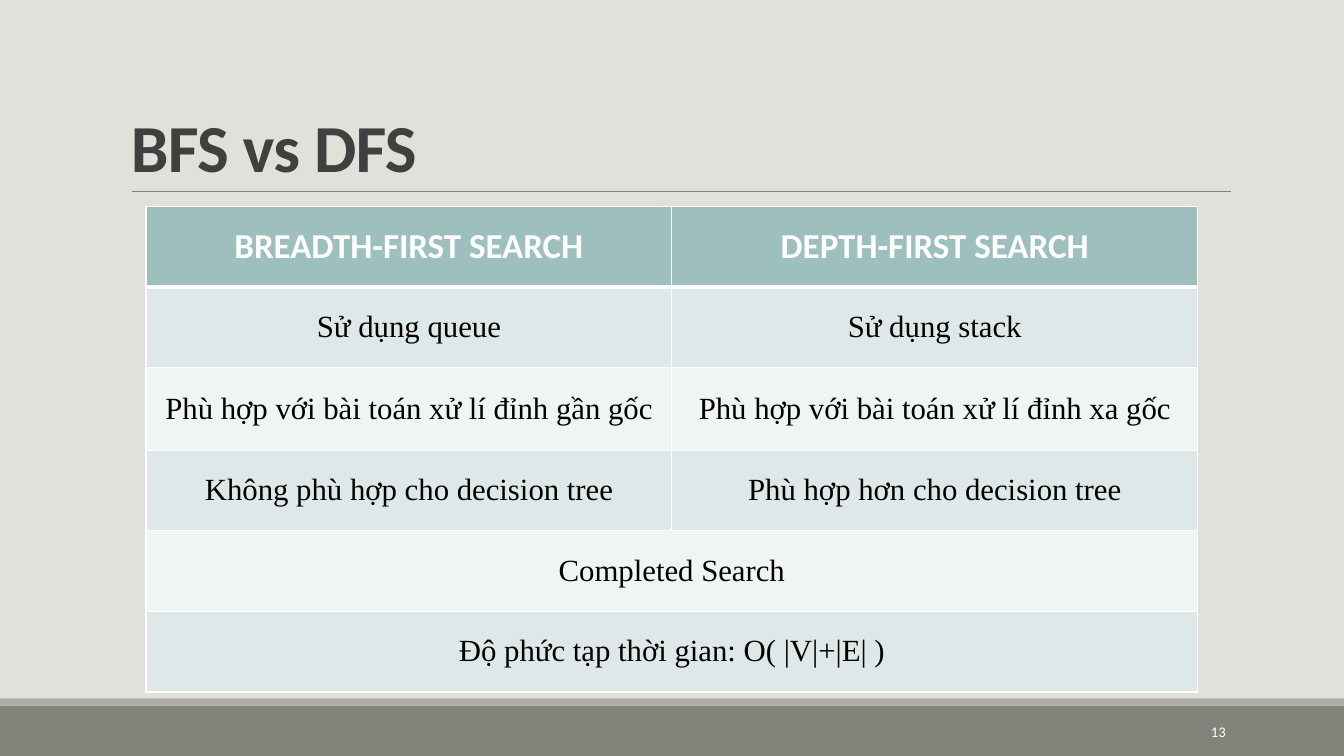
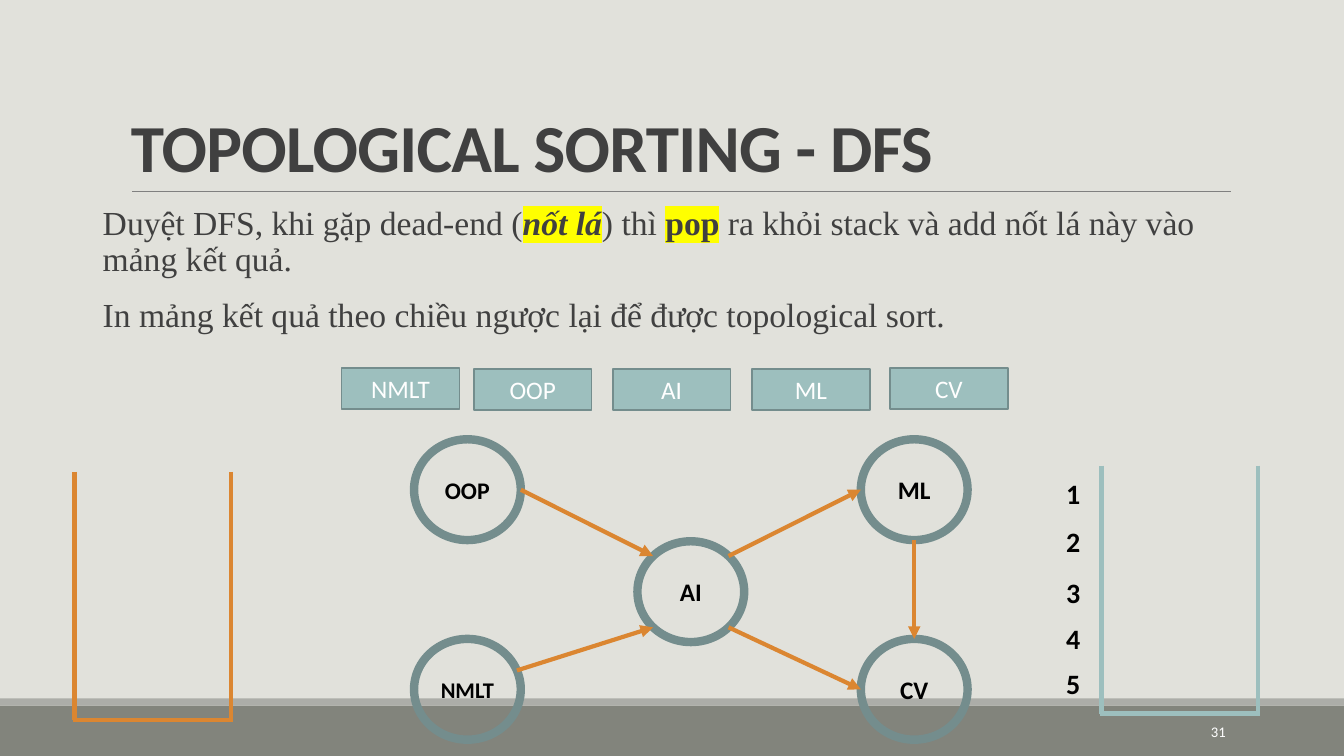
"""Build two slides on graph search: BFS against DFS, and topological sorting."""
import math

import lxml.etree
import pptx
import pptx.dml.color
import pptx.enum.shapes
import pptx.enum.text
import pptx.oxml.ns
import pptx.util

Cm = pptx.util.Cm
Pt = pptx.util.Pt
qn = pptx.oxml.ns.qn
SHAPE = pptx.enum.shapes.MSO_SHAPE
ALIGN = pptx.enum.text.PP_ALIGN
ANCHOR = pptx.enum.text.MSO_ANCHOR

COLORS = {
    "background": "E1E1DB",
    "band": "82847C",
    "strip": "ACADA8",
    "rule": "808080",
    "title": "404040",
    "teal": "9DBFBE",
    "outline": "748D8D",
    "row_dark": "DFE8E8",
    "row_light": "EFF4F4",
    "arrow": "DB8631",
    "highlight": "FFFF00",
    "white": "FFFFFF",
    "black": "000000",
}
HEADING_FONT = "Calibri"
BODY_FONT = "Times New Roman"
SLIDE_WIDTH, SLIDE_HEIGHT = 33.87, 19.05

COMPARISON = [
    ("BREADTH-FIRST SEARCH", "DEPTH-FIRST SEARCH"),
    ("Sử dụng queue", "Sử dụng stack"),
    ("Phù hợp với bài toán xử lí đỉnh gần gốc", "Phù hợp với bài toán xử lí đỉnh xa gốc"),
    ("Không phù hợp cho decision tree", "Phù hợp hơn cho decision tree"),
    ("Completed Search",),
    ("Độ phức tạp thời gian: O( |V|+|E| )",),
]
ROW_HEIGHTS = [2.03, 2.03, 2.08, 2.03, 2.03, 2.03]

EXPLANATION = [
    [
        ("Duyệt DFS, khi gặp dead-end (", ""),
        ("nốt lá", "bold italic marked"),
        (") thì ", ""),
        ("pop", "bold marked"),
        (" ra khỏi stack và add nốt lá này vào mảng kết quả.", ""),
    ],
    [("In mảng kết quả theo chiều ngược lại để được topological sort.", "")],
]

COURSE_LABELS = [
    ("NMLT", 8.61, 9.27),
    ("OOP", 11.94, 9.3),
    ("AI", 15.44, 9.3),
    ("ML", 18.95, 9.3),
    ("CV", 22.43, 9.27),
]
NODE_WIDTH, NODE_HEIGHT = 2.69, 2.54
NODES = {
    "NMLT": (11.78, 17.37, 16),
    "OOP": (11.78, 12.34, 17),
    "AI": (17.41, 14.91, 18),
    "CV": (23.04, 17.37, 18),
    "ML": (23.04, 12.34, 18),
}
EDGES = [
    ("OOP", 0, "AI", 225),
    ("NMLT", -22, "AI", 135),
    ("AI", -45, "ML", 180),
    ("AI", 45, "CV", 180),
    ("ML", 90, "CV", 270),
]
ORDER_TOPS = [11.89, 13.08, 14.38, 15.54, 16.66]


def rgb(color):
    return pptx.dml.color.RGBColor.from_string(COLORS[color])


def box(left, top, width, height):
    return Cm(left), Cm(top), Cm(width), Cm(height)


def style_run(run, size, color, font=HEADING_FONT, bold=False):
    run.font.size = Pt(size)
    run.font.name = font
    run.font.bold = bold
    run.font.color.rgb = rgb(color)


def write(frame, text, size, color, font=HEADING_FONT, bold=False, align=ALIGN.CENTER):
    frame.text = text
    paragraph = frame.paragraphs[0]
    paragraph.alignment = align
    style_run(paragraph.runs[0], size, color, font, bold)
    return paragraph


def add_text_area(slide, area, anchor=ANCHOR.TOP):
    frame = slide.shapes.add_textbox(*box(*area)).text_frame
    frame.word_wrap = True
    frame.vertical_anchor = anchor
    return frame


def add_block(slide, kind, area, fill=None, outline=None, weight=1):
    block = slide.shapes.add_shape(kind, *box(*area))
    block.shadow.inherit = False
    if fill:
        block.fill.solid()
        block.fill.fore_color.rgb = rgb(fill)
    else:
        block.fill.background()
    if outline:
        block.line.color.rgb = rgb(outline)
        block.line.width = Pt(weight)
    else:
        block.line.fill.background()
    frame = block.text_frame
    frame.margin_left = frame.margin_right = 0
    frame.vertical_anchor = ANCHOR.MIDDLE
    return block


def add_line(slide, start, end, color, weight, arrow=False):
    line = slide.shapes.add_connector(
        pptx.enum.shapes.MSO_CONNECTOR.STRAIGHT, *map(Cm, (*start, *end)))
    line.line.color.rgb = rgb(color)
    line.line.width = Pt(weight)
    properties = line._element.spPr
    if arrow:
        lxml.etree.SubElement(properties.find(qn("a:ln")), qn("a:tailEnd"), type="triangle")
    lxml.etree.SubElement(properties, qn("a:effectLst"))


def add_frame(deck, title, number):
    slide = deck.slides.add_slide(deck.slide_layouts[6])
    slide.background.fill.solid()
    slide.background.fill.fore_color.rgb = rgb("background")
    add_block(slide, SHAPE.RECTANGLE, (0, 17.78, SLIDE_WIDTH, 1.27), "band")
    add_block(slide, SHAPE.RECTANGLE, (0, 17.6, SLIDE_WIDTH, 0.18), "strip")
    add_line(slide, (3.33, 4.83), (31.01, 4.83), "rule", 0.5)
    heading = write(add_text_area(slide, (3.05, 0.79, 27.94, 4.04), ANCHOR.BOTTOM),
                    title, 48, "title", bold=True, align=ALIGN.LEFT)
    heading.line_spacing = 0.85
    heading.runs[0].font._element.set("spc", "-50")
    write(add_text_area(slide, (27.51, 17.93, 3.63, 1.02), ANCHOR.MIDDLE),
          str(number), 10.5, "white", align=ALIGN.RIGHT)
    return slide


def set_borders(cell, bottom_weight):
    properties = cell._tc.get_or_add_tcPr()
    for position, side in enumerate("LRTB"):
        weight = bottom_weight if side == "B" else 1
        border = lxml.etree.Element(qn(f"a:ln{side}"), w=str(Pt(weight)))
        fill = lxml.etree.SubElement(border, qn("a:solidFill"))
        lxml.etree.SubElement(fill, qn("a:srgbClr"), val=COLORS["white"])
        properties.insert(position, border)


def add_comparison(slide):
    table = slide.shapes.add_table(
        len(COMPARISON), 2, *box(3.68, 5.21, 26.5, sum(ROW_HEIGHTS))).table
    for column in table.columns:
        column.width = Cm(13.25)
    for index, (texts, height) in enumerate(zip(COMPARISON, ROW_HEIGHTS)):
        table.rows[index].height = Cm(height)
        header = index == 0
        fill = "teal" if header else ("row_light", "row_dark")[index % 2]
        if len(texts) == 1:
            table.cell(index, 0).merge(table.cell(index, 1))
        for column in range(2):
            cell = table.cell(index, column)
            cell.fill.solid()
            cell.fill.fore_color.rgb = rgb(fill)
            set_borders(cell, 3 if header else 1)
        for column, text in enumerate(texts):
            cell = table.cell(index, column)
            cell.vertical_anchor = ANCHOR.MIDDLE
            if header:
                write(cell.text_frame, text, 25, "white", bold=True)
            else:
                write(cell.text_frame, text, 22, "black", BODY_FONT)


def mark(run):
    highlight = lxml.etree.Element(qn("a:highlight"))
    lxml.etree.SubElement(highlight, qn("a:srgbClr"), val=COLORS["highlight"])
    run.font._element.find(qn("a:solidFill")).addnext(highlight)


def add_explanation(slide):
    frame = add_text_area(slide, (2.34, 5.08, 29.21, 4.45))
    frame.margin_left = frame.margin_right = 0
    for index, pieces in enumerate(EXPLANATION):
        paragraph = frame.add_paragraph() if index else frame.paragraphs[0]
        paragraph.line_spacing = 0.9
        paragraph.space_before = Pt(12)
        paragraph.space_after = Pt(2)
        paragraph._p.get_or_add_pPr().set("marL", str(Cm(0.25)))
        for text, emphasis in pieces:
            run = paragraph.add_run()
            run.text = text
            style_run(run, 24, "title", BODY_FONT, "bold" in emphasis)
            run.font.italic = "italic" in emphasis
            if "marked" in emphasis:
                mark(run)


def node_edge(name, degrees):
    x, y, _ = NODES[name]
    angle = math.radians(degrees)
    return x + NODE_WIDTH / 2 * math.cos(angle), y + NODE_HEIGHT / 2 * math.sin(angle)


def add_graph(slide):
    for name, (x, y, size) in NODES.items():
        area = (x - NODE_WIDTH / 2, y - NODE_HEIGHT / 2, NODE_WIDTH, NODE_HEIGHT)
        node = add_block(slide, SHAPE.OVAL, area, outline="outline", weight=6)
        write(node.text_frame, name, size, "black", bold=True)
    for source, leaving, target, entering in EDGES:
        add_line(slide, node_edge(source, leaving), node_edge(target, entering),
                 "arrow", 3, arrow=True)


def add_container(slide, left, top, color):
    right, bottom, overlap = left + 3.94, top + 6.25, 0.05
    for side in (left, right):
        add_line(slide, (side, top), (side, bottom), color, 3)
    add_line(slide, (left - overlap, bottom), (right + overlap, bottom), color, 3)


def main():
    deck = pptx.Presentation()
    deck.slide_width, deck.slide_height = Cm(SLIDE_WIDTH), Cm(SLIDE_HEIGHT)

    add_comparison(add_frame(deck, "BFS vs DFS", 13))

    sorting = add_frame(deck, "TOPOLOGICAL SORTING - DFS", 31)
    add_explanation(sorting)
    add_graph(sorting)
    for course, left, top in COURSE_LABELS:
        label = add_block(sorting, SHAPE.RECTANGLE, (left, top, 2.97, 1.04),
                          "teal", "outline", 1.25)
        write(label.text_frame, course, 18, "white")
    add_container(sorting, 1.88, 11.89, "arrow")
    add_container(sorting, 27.76, 11.73, "teal")
    for place, top in enumerate(ORDER_TOPS, 1):
        write(add_text_area(sorting, (26.62, top, 0.94, 1.12)),
              str(place), 20, "black", bold=True, align=ALIGN.LEFT)

    deck.save("out.pptx")


if __name__ == "__main__":
    main()
